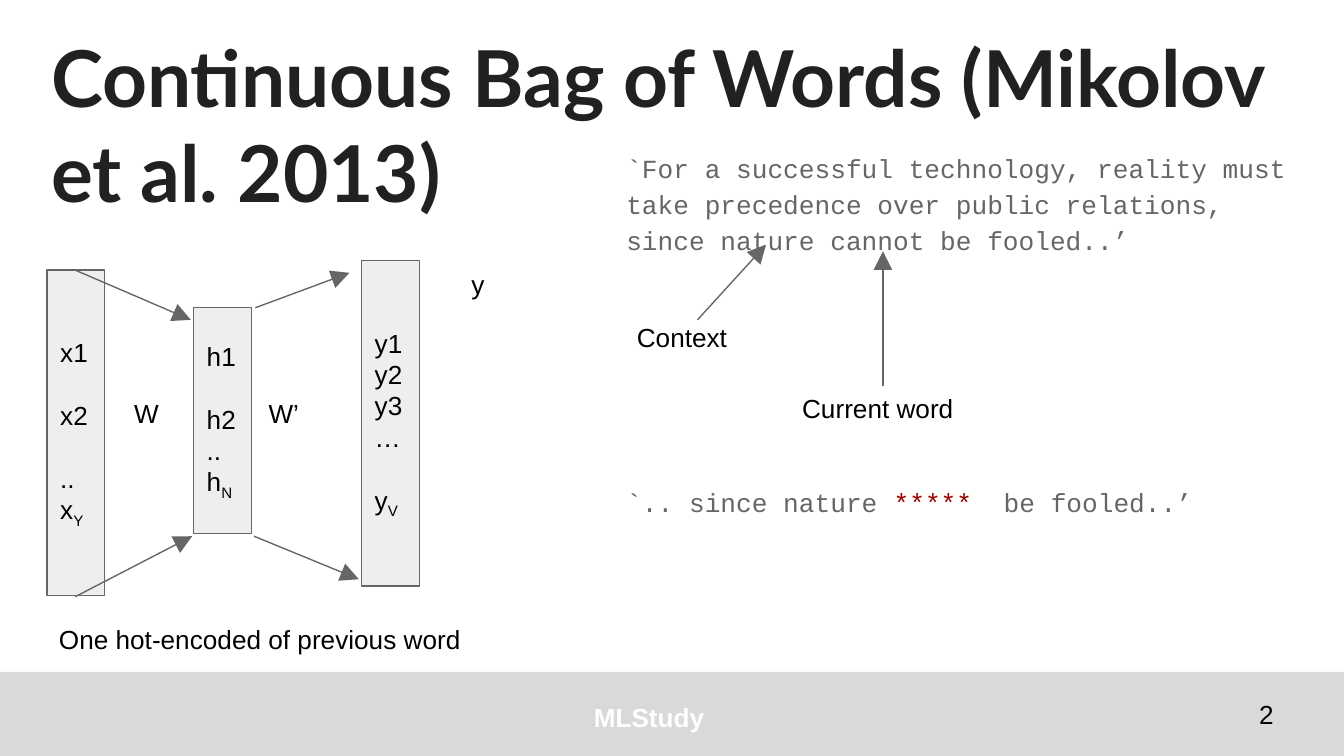
from pptx import Presentation
from pptx.dml.color import RGBColor
from pptx.enum.shapes import MSO_CONNECTOR, MSO_SHAPE
from pptx.enum.text import MSO_ANCHOR, MSO_AUTO_SIZE, PP_ALIGN
from pptx.oxml.ns import qn
from pptx.util import Inches, Pt
from lxml.etree import SubElement

COLORS = {"band": "D9D9D9", "layer": "EEEEEE", "gray": "666666", "title": "212121",
          "black": "000000", "white": "FFFFFF", "masked": "980000"}
RGB = {name: RGBColor.from_string(value) for name, value in COLORS.items()}
WIDTH, HEIGHT = 10, 10 * 9 / 16


def add_run(p, text, font="Arial", size=14, color="black", bold=False, subscript=False):
    r = p.add_run()
    r.text = text
    r.font.name, r.font.size, r.font.bold = font, Pt(size), bold
    r.font.color.rgb = RGB[color]
    if subscript:
        r.font._element.set("baseline", "-25000")


def set_frame(tf, anchor=MSO_ANCHOR.TOP):
    """Wrap the text and give it even margins at a fixed size."""
    tf.word_wrap = True
    tf.auto_size = MSO_AUTO_SIZE.NONE
    tf.vertical_anchor = anchor
    tf.margin_left = tf.margin_right = tf.margin_top = tf.margin_bottom = Inches(0.1)


prs = Presentation()
prs.slide_width, prs.slide_height = Inches(WIDTH), Inches(HEIGHT)
s = prs.slides.add_slide(prs.slide_layouts[1])
title, body = s.placeholders

# Footer band
band = s.shapes.add_shape(MSO_SHAPE.RECTANGLE, 0, Inches(5), Inches(WIDTH), Inches(HEIGHT - 5))
band.shadow.inherit = False
band.fill.solid()
band.fill.fore_color.rgb = RGB["band"]
band.line.fill.background()

# Title
title.left, title.top, title.width, title.height = map(Inches, (0.28, 0.12, 9.32, 0.88))
set_frame(title.text_frame)
p = title.text_frame.paragraphs[0]
p.alignment = PP_ALIGN.LEFT
add_run(p, "Continuous Bag of Words (Mikolov et al. 2013)", "Lato", 42, "title", True)

# Quotation, whole and with the current word masked
body.left, body.top, body.width, body.height = map(Inches, (4.56, 1, 5.29, 2.69))
tf = body.text_frame
set_frame(tf)
quotes = [
    [("`For a successful technology, reality must take precedence over public "
      "relations, since nature cannot be fooled..’", "gray")],
    [("`.. since nature ", "gray"), ("*****", "masked"), ("  be fooled..’", "gray")],
]
for i, quote in enumerate(quotes):
    p = tf.add_paragraph() if i else tf.paragraphs[0]
    pPr = p._p.get_or_add_pPr()
    pPr.set("marL", "0")
    pPr.set("indent", "0")
    SubElement(pPr, qn("a:buNone"))
    p.line_spacing = 1.15
    p.space_before = Pt(121 * i)
    p.space_after = Pt(0)
    for text, color in quote:
        add_run(p, text, "Courier New", color=color)

# Network layers: left, top, height, lines as (text, subscript, blank lines before)
layers = [
    (0.35, 2.01, 2.42, [("x1", "", 0), ("x2", "", 1), ("..", "", 1), ("x", "Y", 0)]),
    (1.44, 2.29, 1.68, [("h1", "", 0), ("h2", "", 1), ("..", "", 0), ("h", "N", 0)]),
    (2.69, 1.94, 2.42, [("y1", "", 0), ("y2", "", 0), ("y3", "", 0), ("…", "", 0),
                        ("y", "V", 1)]),
]
for left, top, height, lines in layers:
    layer = s.shapes.add_shape(MSO_SHAPE.RECTANGLE, Inches(left), Inches(top),
                               Inches(0.43), Inches(height))
    layer.shadow.inherit = False
    layer.fill.solid()
    layer.fill.fore_color.rgb = RGB["layer"]
    layer.line.color.rgb = RGB["gray"]
    layer.line.width = Pt(0.75)
    tf = layer.text_frame
    set_frame(tf, MSO_ANCHOR.MIDDLE)
    for i, (text, index, blanks) in enumerate(lines):
        p = tf.add_paragraph() if i else tf.paragraphs[0]
        p.alignment = PP_ALIGN.LEFT
        p.space_before = Pt(16.8 * blanks)
        add_run(p, text)
        if index:
            add_run(p, index, subscript=True)

# Arrows: between the layers, then up to the quotation
arrows = [
    (0.56, 4.44, 1.43, 3.99), (0.56, 2.01, 1.42, 2.38),
    (1.89, 3.99, 2.67, 4.31), (1.9, 2.29, 2.6, 2.03),
    (6.57, 2.87, 6.57, 1.87), (5.19, 2.38, 5.7, 1.82),
]
for ends in arrows:
    arrow = s.shapes.add_connector(MSO_CONNECTOR.STRAIGHT, *map(Inches, ends))
    arrow.line.color.rgb = RGB["gray"]
    arrow.line.width = Pt(0.75)
    SubElement(arrow.line._get_or_add_ln(), qn("a:tailEnd"), type="triangle", w="lg", len="lg")
    SubElement(arrow._element.spPr, qn("a:effectLst"))

# Labels
LEFT, CENTER = PP_ALIGN.LEFT, PP_ALIGN.CENTER
TOP, MIDDLE = MSO_ANCHOR.TOP, MSO_ANCHOR.MIDDLE
labels = [
    ("MLStudy", (4, 5.12, 1.66, 0.4), "white", True, CENTER, TOP),
    ("2", (9.27, 5.1, 0.6, 0.43), "black", False, LEFT, MIDDLE),
    ("y", (3.41, 1.9, 0.6, 0.43), "black", False, LEFT, TOP),
    ("W", (0.9, 2.86, 0.42, 0.74), "black", False, LEFT, TOP),
    ("W’", (1.9, 2.86, 0.6, 0.45), "black", False, LEFT, TOP),
    ("Current word", (5.87, 2.82, 1.67, 0.53), "black", False, LEFT, TOP),
    ("Context", (4.64, 2.29, 1.3, 0.43), "black", False, LEFT, TOP),
    ("One hot-encoded of previous word", (0.34, 4.54, 3.43, 0.45), "black", False, LEFT, TOP),
]
for text, place, color, bold, align, anchor in labels:
    tf = s.shapes.add_textbox(*map(Inches, place)).text_frame
    set_frame(tf, anchor)
    p = tf.paragraphs[0]
    p.alignment = align
    add_run(p, text, color=color, bold=bold)

prs.save("out.pptx")
